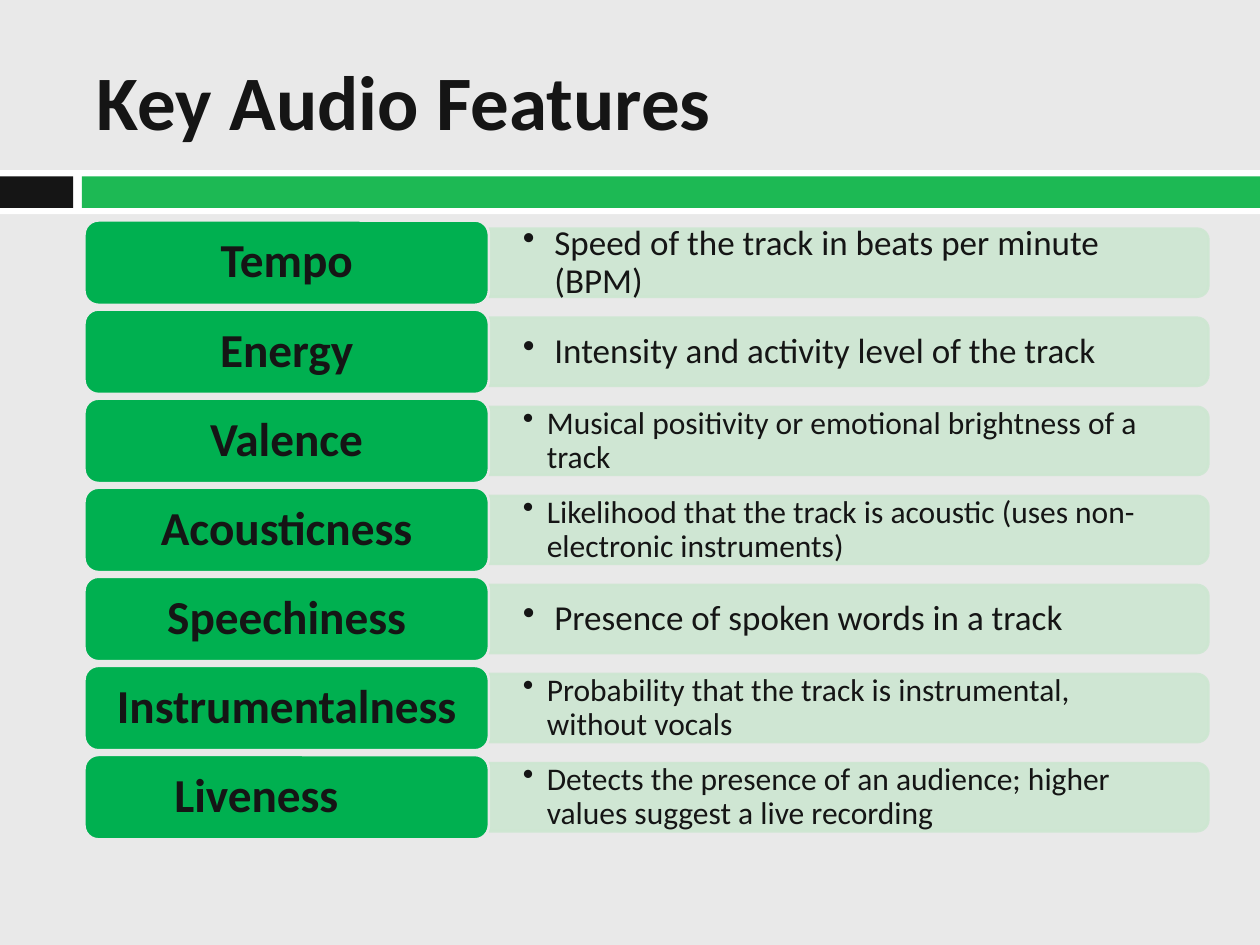
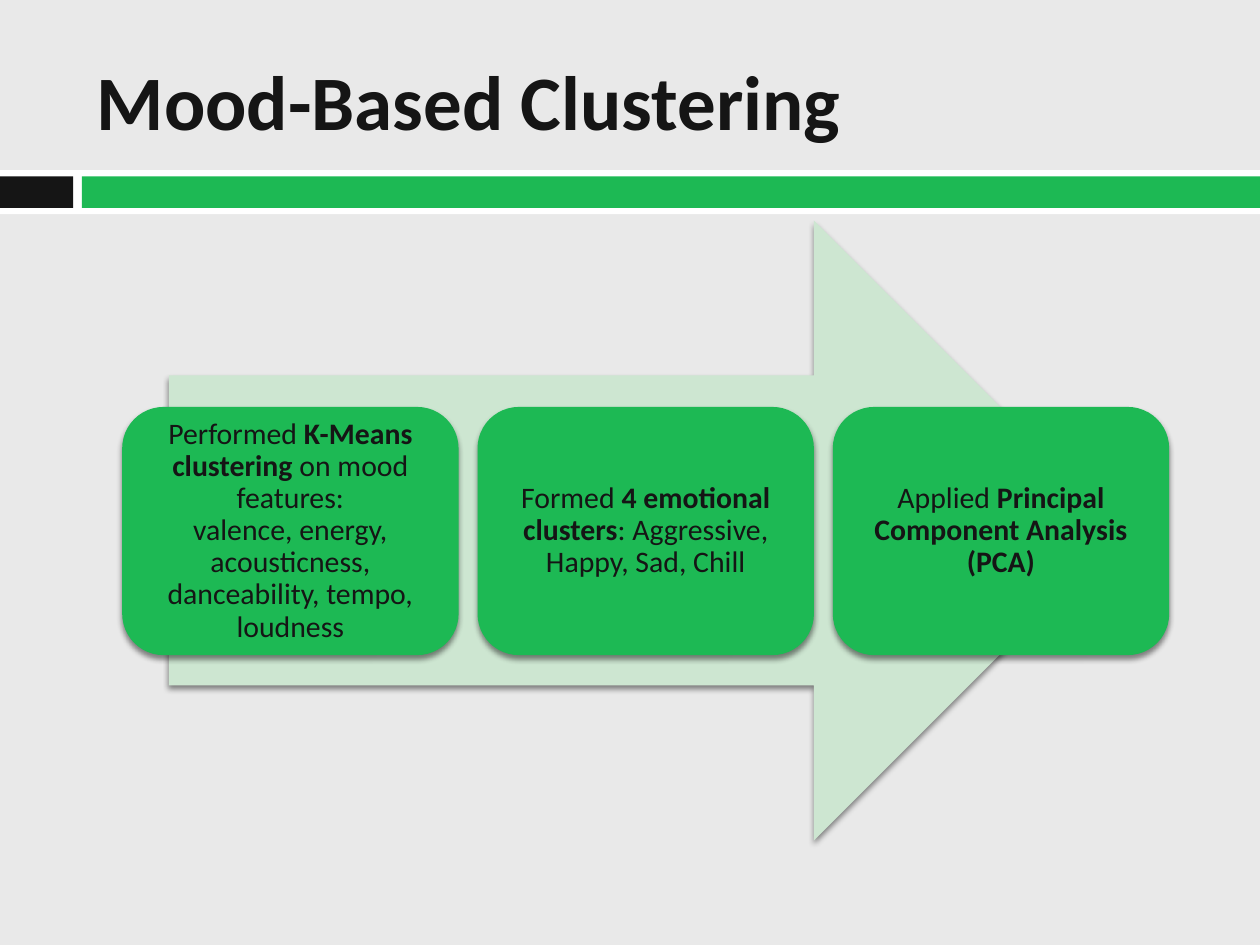
import pptx
import pptx.util
import pptx.dml.color
import pptx.enum.shapes
import pptx.enum.text
import pptx.oxml
import pptx.oxml.ns

COLUMNS, ROWS = 100, 75
FONT = "Calibri"
BACKGROUND = "E9E9E9"
INK = "151515"
WHITE = "FFFFFF"
GREEN = "1DB954"
LABEL_GREEN = "00B050"
PALE_GREEN = "CDE6D1"

SHAPES = pptx.enum.shapes.MSO_SHAPE
ALIGN = pptx.enum.text.PP_ALIGN
ANCHOR = pptx.enum.text.MSO_ANCHOR
NAMESPACE = pptx.oxml.ns.nsdecls("a")

FEATURES = [
    ("Tempo", "Speed of the track in beats per minute (BPM)", 20),
    ("Energy", "Intensity and activity level of the track", 20),
    ("Valence", "Musical positivity or emotional brightness of a track", 18),
    ("Acousticness", "Likelihood that the track is acoustic (uses non-electronic instruments)", 18),
    ("Speechiness", "Presence of spoken words in a track", 20),
    ("Instrumentalness", "Probability that the track is instrumental, without vocals", 18),
    ("Liveness", "Detects the presence of an audience; higher values suggest a live recording", 18),
]
RIGHT_INSETS = {"Liveness": 0.59}

STEPS = [
    "Performed **K-Means clustering** on mood features:\n"
    "valence, energy, acousticness, danceability, tempo, loudness",
    "Formed **4 emotional clusters**: Aggressive, Happy, Sad, Chill",
    "Applied **Principal Component Analysis (PCA)**",
]


def color(value):
    return pptx.dml.color.RGBColor.from_string(value)


class Deck:
    def __init__(self):
        self.presentation = pptx.Presentation()
        self.presentation.slide_width = pptx.util.Inches(10)
        self.presentation.slide_height = pptx.util.Inches(7.5)
        self.slide = None

    def grid(self, left, top, width, height):
        column = self.presentation.slide_width / COLUMNS
        row = self.presentation.slide_height / ROWS
        return round(left * column), round(top * row), round(width * column), round(height * row)

    def start_slide(self, title):
        self.slide = self.presentation.slides.add_slide(self.presentation.slide_layouts[6])
        fill = self.slide.background.fill
        fill.solid()
        fill.fore_color.rgb = color(BACKGROUND)
        self.shape(SHAPES.RECTANGLE, (0, 13.5, 100, 3.5), WHITE)
        self.shape(SHAPES.RECTANGLE, (0, 14, 5.8, 2.5), INK)
        self.shape(SHAPES.RECTANGLE, (6.5, 14, 93.5, 2.5), GREEN)
        box = self.text_box((6.7, 2.5, 89.2, 10.8))
        self.set_text(box, title, 44, bold=True, insets=(0.1, 0.05, 0.1, 0.05), spacing=1)

    def shape(self, kind, area, fill, outline=None, shadow=False):
        shape = self.slide.shapes.add_shape(kind, *self.grid(*area))
        shape.shadow.inherit = False
        shape.fill.solid()
        shape.fill.fore_color.rgb = color(fill)
        if outline:
            shape.line.color.rgb = color(outline)
            shape.line.width = pptx.util.Pt(1.5)
        else:
            shape.line.fill.background()
        if shadow:
            effects = shape.element.spPr.find(pptx.oxml.ns.qn("a:effectLst"))
            effects.append(pptx.oxml.parse_xml(
                f'<a:outerShdw {NAMESPACE} blurRad="{pptx.util.Pt(3)}" dist="{pptx.util.Pt(2.4)}" '
                'dir="5400000" rotWithShape="0"><a:srgbClr val="000000">'
                '<a:alpha val="45000"/></a:srgbClr></a:outerShdw>'))
        return shape

    def side_panel(self, left, middle, width, height):
        area = (left + (width - height) / 2, middle - width / 2, height, width)
        panel = self.shape(SHAPES.ROUND_2_SAME_RECTANGLE, area, PALE_GREEN, PALE_GREEN)
        panel.rotation = 90
        for shade in panel.element.spPr.iter(pptx.oxml.ns.qn("a:srgbClr")):
            shade.append(pptx.oxml.parse_xml(f'<a:alpha {NAMESPACE} val="90000"/>'))

    def text_box(self, area):
        return self.slide.shapes.add_textbox(*self.grid(*area))

    def set_text(self, shape, text, size, insets, bold=False, align=ALIGN.LEFT, spacing=0.9):
        frame = shape.text_frame
        frame.word_wrap = True
        frame.vertical_anchor = ANCHOR.MIDDLE
        (frame.margin_left, frame.margin_top,
         frame.margin_right, frame.margin_bottom) = map(pptx.util.Inches, insets)
        paragraph = frame.paragraphs[0]
        paragraph.alignment = align
        paragraph.line_spacing = spacing
        for part_number, part in enumerate(text.split("**")):
            for line_number, line in enumerate(part.split("\n")):
                if line_number:
                    paragraph.add_line_break()
                if line:
                    run = paragraph.add_run()
                    run.text = line
                    run.font.name = FONT
                    run.font.size = pptx.util.Pt(size)
                    run.font.bold = bold or part_number % 2 == 1
                    run.font.color.rgb = color(INK)
        return paragraph

    def bullet(self, paragraph, indent):
        properties = paragraph._p.get_or_add_pPr()
        properties.set("marL", str(pptx.util.Inches(indent)))
        properties.set("indent", str(-pptx.util.Inches(indent)))
        properties.append(pptx.oxml.parse_xml(f'<a:buChar {NAMESPACE} char="•"/>'))

    def feature_row(self, top, name, description, size):
        middle = top + 3.35
        self.side_panel(38.8, middle, 57.1, 5.4)
        box = self.text_box((38.8, middle - 2.45, 56.8, 4.9))
        paragraph = self.set_text(box, description, size, (0.27, 0.14, 0.27, 0.14))
        self.bullet(paragraph, 0.25 if size == 20 else 0.19)
        label = self.shape(SHAPES.ROUNDED_RECTANGLE, (6.7, top, 32.1, 6.7), LABEL_GREEN, BACKGROUND)
        insets = (0.11, 0.06, RIGHT_INSETS.get(name, 0.11), 0.06)
        self.set_text(label, name, 27, insets, bold=True, align=ALIGN.CENTER)

    def step_card(self, left, text):
        card = self.shape(SHAPES.ROUNDED_RECTANGLE, (left, 32.3, 26.7, 19.7), GREEN, shadow=True)
        self.set_text(card, text, 17, (0.07,) * 4, align=ALIGN.CENTER)


def main():
    deck = Deck()

    deck.start_slide("Key Audio Features")
    for index, feature in enumerate(FEATURES):
        deck.feature_row(17.5 + 7.07 * index, *feature)

    deck.start_slide("Mood-Based Clustering")
    deck.shape(SHAPES.RIGHT_ARROW, (13.4, 17.5, 75.8, 49.2), PALE_GREEN, shadow=True)
    for index, step in enumerate(STEPS):
        deck.step_card(9.7 + 28.2 * index, step)

    deck.presentation.save("out.pptx")


if __name__ == "__main__":
    main()
